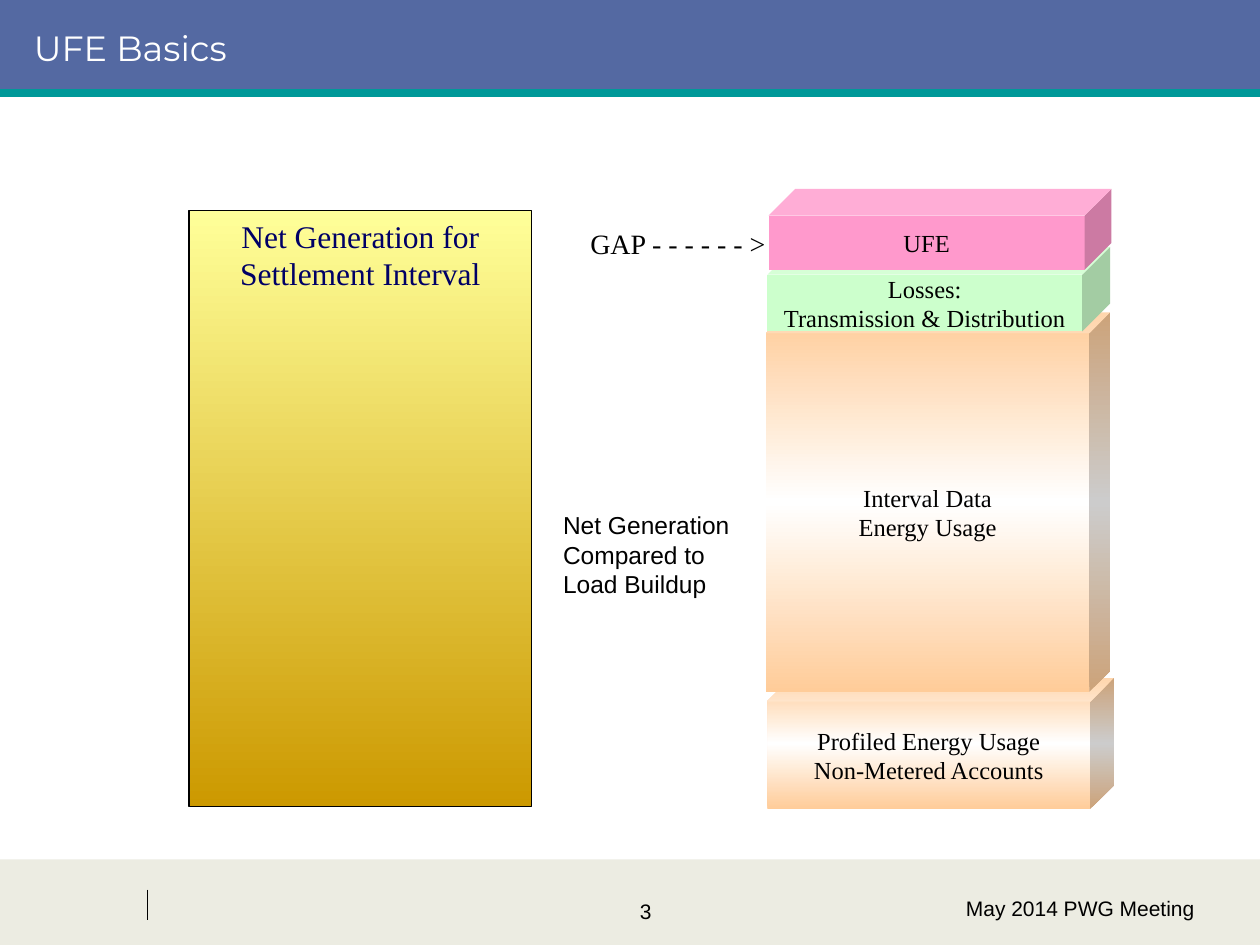
from pptx import Presentation
from pptx.dml.color import RGBColor
from pptx.enum.shapes import MSO_CONNECTOR, MSO_SHAPE
from pptx.enum.text import MSO_ANCHOR, PP_ALIGN
from pptx.oxml.ns import qn
from pptx.util import Inches, Pt
from lxml.etree import SubElement

THEME = {
    "sans": "Arial", "serif": "Times New Roman", "title": "Montserrat",
    "black": "000000", "white": "FFFFFF", "navy": "000066",
    "header": "5469A2", "rule": "009999", "footer": "ECECE2",
    "gold": ("FFFF99", "CC9900"), "usage": ("FFCC99", "FFFFFF", "FFCC99"),
    "losses": "CCFFCC", "ufe": "FF99CC",
    "small": 12, "label": 14, "gap": 16, "heading": 18, "title_size": 20,
}

# Grid of square cells: 100 columns by 75 rows
COLS, ROWS = 100, 75
CELL = Inches(10) / COLS

# Bands: top row, rows, fill
BANDS = [(68.2, 6.8, "footer"), (0, 7.5, "header")]
# Rules: start, end, colour, weight
RULES = [((11.7, 70.6), (11.7, 73), "black", 0.75),
         ((0, 7.4), (COLS, 7.4), "rule", 4.5)]
# Load buildup, bottom to top: lines, box, depth, fill, side inset in inches
LOAD = [
    (["Profiled Energy Usage", "Non-Metered Accounts"], (60.9, 53.8, 27.5, 10.4), 0.18, "usage", 0.1),
    (["Interval Data", "Energy Usage"], (60.8, 24.8, 27.3, 30.1), 0.06, "usage", 0.1),
    (["Losses:", "Transmission & Distribution"], (60.9, 19.6, 27.2, 6.7), 0.33, "losses", 0.05),
    (["UFE"], (61, 15, 27.2, 6.4), 0.33, "ufe", 0.05),
]
# Texts: lines, box, font, size, colour, alignment, anchor, wrap
LEFT, CENTER, RIGHT = PP_ALIGN.LEFT, PP_ALIGN.CENTER, PP_ALIGN.RIGHT
TOP, MIDDLE = MSO_ANCHOR.TOP, MSO_ANCHOR.MIDDLE
TEXTS = [
    (["3"], (37.5, 70.8, 27.5, 5), "sans", "small", "black", CENTER, TOP, True),
    (["UFE Basics"], (1.7, 0, 95, 7.5), "title", "title_size", "white", LEFT, MIDDLE, True),
    (["May 2014 PWG Meeting"], (68.3, 70.6, 27.5, 5), "sans", "small", "black", RIGHT, TOP, True),
    (["Net Generation", "Compared to", "Load Buildup"], (43.7, 40, 15.2, 8),
     "sans", "label", "black", LEFT, TOP, False),
    (["GAP - - - - - - >"], (44.2, 17.5, 19.2, 3.7), "serif", "gap", "black", CENTER, TOP, True),
]


def grid(*cells):
    return [round(c * CELL) for c in cells]


def color(name):
    return RGBColor.from_string(THEME[name])


def paint(s, name):
    """Fill with one colour, or with an evenly spaced vertical gradient."""
    value = THEME[name]
    if isinstance(value, str):
        s.fill.solid()
        s.fill.fore_color.rgb = color(name)
        return
    s.fill.gradient()
    s.fill.gradient_angle = 270
    stops = s._element.spPr.find(qn("a:gradFill")).find(qn("a:gsLst"))
    for stop in list(stops):
        stops.remove(stop)
    for i, rgb in enumerate(value):
        stop = SubElement(stops, qn("a:gs"), pos=str(100000 * i // (len(value) - 1)))
        SubElement(stop, qn("a:srgbClr"), val=rgb)


def write(s, lines, font, size, ink, align=CENTER, anchor=MIDDLE, wrap=True, inset=0.1):
    tf = s.text_frame
    tf.text = "\n".join(lines)
    tf.word_wrap = wrap
    tf.vertical_anchor = anchor
    tf.margin_left = tf.margin_right = Inches(inset)
    tf.margin_top = tf.margin_bottom = Inches(0.05)
    for p in tf.paragraphs:
        p.alignment = align
        for r in p.runs:
            r.font.name = THEME[font]
            r.font.size = Pt(THEME[size])
            r.font.color.rgb = color(ink)


def add_block(shapes, kind, box, fill):
    s = shapes.add_shape(kind, *grid(*box))
    s.shadow.inherit = False
    s.line.fill.background()
    paint(s, fill)
    return s


def main():
    prs = Presentation()
    prs.slide_width, prs.slide_height = grid(COLS, ROWS)
    shapes = prs.slides.add_slide(prs.slide_layouts[6]).shapes

    # Header, footer and rules
    for top, height, fill in BANDS:
        add_block(shapes, MSO_SHAPE.RECTANGLE, (0, top, COLS, height), fill)
    for start, end, ink, weight in RULES:
        c = shapes.add_connector(MSO_CONNECTOR.STRAIGHT, *grid(*start, *end))
        c.line.color.rgb = color(ink)
        c.line.width = Pt(weight)
        SubElement(c._element.spPr, qn("a:effectLst"))

    # Net generation
    s = add_block(shapes, MSO_SHAPE.RECTANGLE, (15, 16.7, 27.2, 47.3), "gold")
    s.line.color.rgb = color("black")
    s.line.width = Pt(0.75)
    write(s, ["Net Generation for Settlement Interval"], "serif", "heading", "navy",
          anchor=TOP, inset=0.05)

    # Load buildup
    stack = shapes.add_group_shape()
    for lines, box, depth, fill, inset in LOAD:
        s = add_block(stack.shapes, MSO_SHAPE.CUBE, box, fill)
        s.adjustments[0] = depth
        write(s, lines, "serif", "label", "black", inset=inset)

    # Title, footer texts and labels
    for lines, box, *style in TEXTS:
        write(shapes.add_textbox(*grid(*box)), lines, *style)

    prs.save("out.pptx")


if __name__ == "__main__":
    main()
